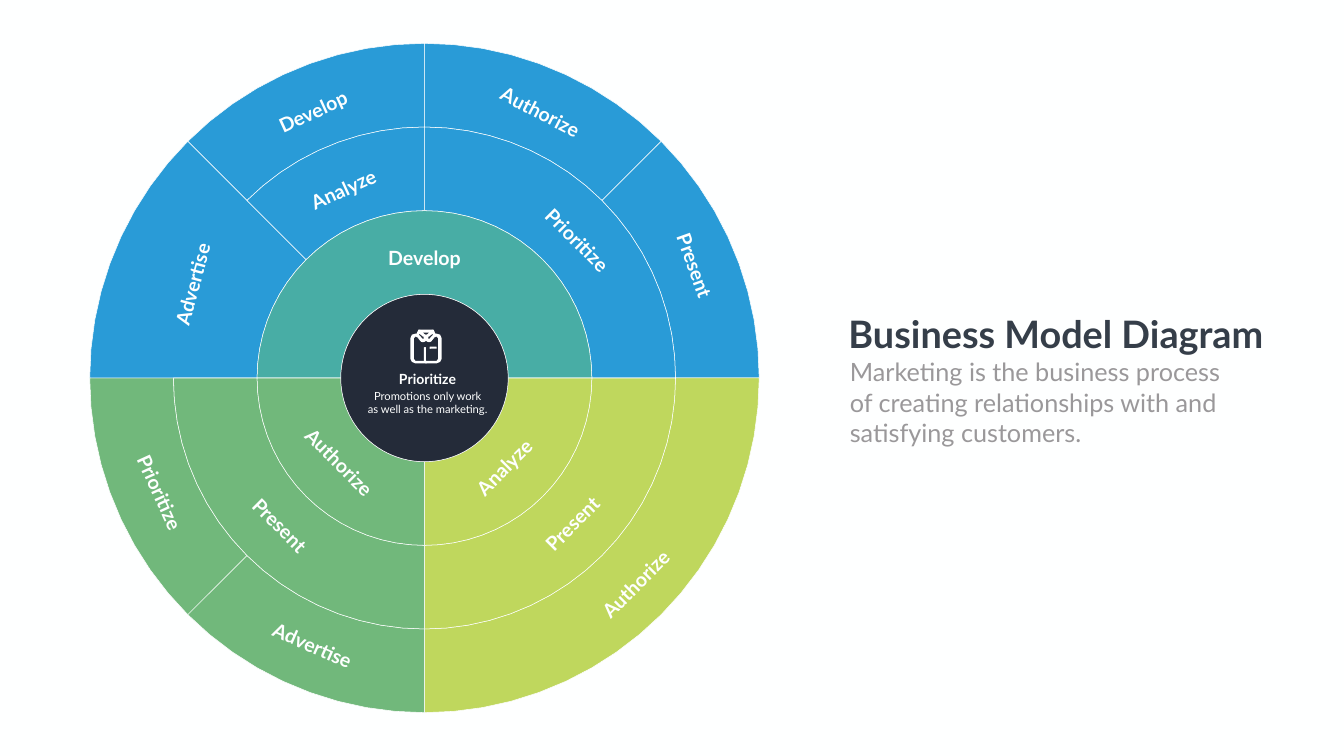
"""Builds the Business Model Diagram slide: a ring chart of labelled sectors with a heading."""
from math import cos, radians, sin

from pptx import Presentation
from pptx import util as u
from pptx.dml.color import RGBColor
from pptx.enum import shapes, text

WHITE = RGBColor(0xFE, 0xFF, 0xFF)
ICON_WHITE = RGBColor(0xFF, 0xFF, 0xFF)
BLUE = RGBColor(0x29, 0x9B, 0xD7)
TEAL = RGBColor(0x48, 0xAD, 0xA5)
GREEN = RGBColor(0x71, 0xB8, 0x7B)
LIME = RGBColor(0xBF, 0xD7, 0x5D)
NAVY = RGBColor(0x24, 0x2B, 0x39)
SLATE = RGBColor(0x35, 0x3E, 0x49)
GREY = RGBColor(0x9A, 0x98, 0x9A)

EMU_PER_PX = 9144
SLIDE_SIZE = (2666, 1500)
CENTER_X, CENTER_Y = 842, 750
RING = 166
ARC_STEP = 5
LABEL_SIZE = (192, 57)
FONT = "Lato"

HEADING = "Business Model Diagram"
SUMMARY = ["Marketing is the business process",
           "of creating relationships with and satisfying customers."]
HUB_TITLE = ["Prioritize"]
HUB_TEXT = ["Promotions only work", "as well as the marketing."]

# (inner ring, outer ring, start degree, end degree, colour, label, label offset, label turn)
SECTORS = [
    (3, 4, -45, 0, BLUE, "Develop", (-221, -529), -24.8),
    (3, 4, 0, 45, BLUE, "Authorize", (230, -528), 27.5),
    (3, 4, 45, 90, BLUE, "Present", (536, -223), 70.4),
    (3, 4, 90, 180, LIME, "Authorize", (419, 409), -45),
    (3, 4, 180, 225, GREEN, "Advertise", (-222, 530), 24.1),
    (3, 4, 225, 270, GREEN, "Prioritize", (-525, 227), 65.5),
    (2, 4, 270, 315, BLUE, "Advertise", (-460, -186), -75),
    (2, 3, -45, 0, BLUE, "Analyze", (-161, -375), -24.8),
    (2, 3, 0, 90, BLUE, "Prioritize", (303, -274), 45),
    (2, 3, 90, 180, LIME, "Present", (293, 289), -45),
    (2, 3, 180, 270, GREEN, "Present", (-287, 292), 45),
    (1, 2, -90, 90, TEAL, "Develop", (0, -239), 0),
    (1, 2, 90, 180, LIME, "Analyze", (158, 177), -45),
    (1, 2, 180, 270, GREEN, "Authorize", (-169, 167), 45),
]

ICON_AXIS, ICON_TOP = 845, 654
ICON_HALVES = [
    [(-1, 62), (21, 62), (24, 58), (24, 17), (21, 14), (16, 14), (16, 8),
     (21, 8), (28, 10), (31, 17), (31, 58), (28, 64), (21, 67), (-1, 67)],
    [(6, 14), (2, 10), (10, 1), (15, 0), (20, 11), (19, 15), (15, 13), (13, 8)],
    [(6, 25), (2, 24), (-5, 16), (2, 9), (6, 13), (3, 16), (6, 19),
     (15, 9), (19, 9), (19, 13), (10, 24)],
]
ICON_BARS = [(-14, 0, 28, 6), (7, 34, 14, 4), (-4, 35, 4, 30)]


def px(length):
    return u.Emu(round(length * EMU_PER_PX))


def paint(shape, color, outlined):
    shape.shadow.inherit = False
    shape.fill.solid()
    shape.fill.fore_color.rgb = color
    if outlined:
        shape.line.color.rgb = WHITE
        shape.line.width = u.Pt(0.75)
    else:
        shape.line.fill.background()


def add_outline(slide, points, color, outlined=False):
    corners = [(px(x), px(y)) for x, y in points]
    builder = slide.shapes.build_freeform(*corners[0], scale=1.0)
    builder.add_line_segments(corners[1:], close=True)
    paint(builder.convert_to_shape(), color, outlined)


def add_preset(slide, preset, place, color, outlined=False):
    paint(slide.shapes.add_shape(preset, *map(px, place)), color, outlined)


def arc(radius, start, end):
    return [(CENTER_X + radius * sin(radians(angle)), CENTER_Y - radius * cos(radians(angle)))
            for angle in range(start, end + 1, ARC_STEP)]


def write(box, lines, size, color, bold=False, align=text.PP_ALIGN.CENTER, wrap=True):
    frame = box.text_frame
    frame.text = "\n".join(lines)
    frame.word_wrap = wrap
    frame.auto_size = text.MSO_AUTO_SIZE.NONE
    frame.vertical_anchor = text.MSO_ANCHOR.TOP
    for paragraph in frame.paragraphs:
        paragraph.alignment = align
        for run in paragraph.runs:
            run.font.name = FONT
            run.font.size = u.Pt(size)
            run.font.bold = bold
            run.font.color.rgb = color


def add_text(slide, place, *content, **style):
    box = slide.shapes.add_textbox(*map(px, place))
    write(box, *content, **style)
    return box


def add_sectors(slide):
    for inner, outer, start, end, color, *_ in SECTORS:
        edge = arc(outer * RING, start, end) + arc(inner * RING, start, end)[::-1]
        add_outline(slide, edge, color, outlined=True)


def add_labels(slide):
    width, height = LABEL_SIZE
    for *_, label, (dx, dy), turn in SECTORS:
        place = (CENTER_X + dx - width / 2, CENTER_Y + dy - height / 2, width, height)
        add_text(slide, place, [label], 28, WHITE, bold=True).rotation = turn


def add_hub(slide):
    preset = shapes.MSO_SHAPE
    circle = (CENTER_X - RING, CENTER_Y - RING, 2 * RING, 2 * RING)
    add_preset(slide, preset.OVAL, circle, NAVY, outlined=True)
    for half in ICON_HALVES:
        for side in (1, -1):
            add_outline(slide, [(ICON_AXIS + side * x, ICON_TOP + y) for x, y in half], ICON_WHITE)
    for x, y, width, height in ICON_BARS:
        place = (ICON_AXIS + x, ICON_TOP + y, width, height)
        add_preset(slide, preset.ROUNDED_RECTANGLE, place, ICON_WHITE)
    add_text(slide, (764, 731, 168, 44), HUB_TITLE, 20, WHITE, bold=True)
    add_text(slide, (706, 767, 285, 64), HUB_TEXT, 16, WHITE)


def add_heading(slide):
    heading = slide.shapes.title
    heading.left, heading.top, heading.width, heading.height = map(px, (1673, 611, 878, 101))
    left = text.PP_ALIGN.LEFT
    write(heading, [HEADING], 54, SLATE, bold=True, align=left, wrap=False)
    add_text(slide, (1676, 703, 817, 192), SUMMARY, 36, GREY, align=left)


def main():
    deck = Presentation()
    deck.slide_width, deck.slide_height = map(px, SLIDE_SIZE)
    slide = deck.slides.add_slide(deck.slide_layouts.get_by_name("Title Only"))
    slide.background.fill.solid()
    slide.background.fill.fore_color.rgb = WHITE
    add_sectors(slide)
    add_hub(slide)
    add_labels(slide)
    add_heading(slide)
    deck.save("out.pptx")


if __name__ == "__main__":
    main()
